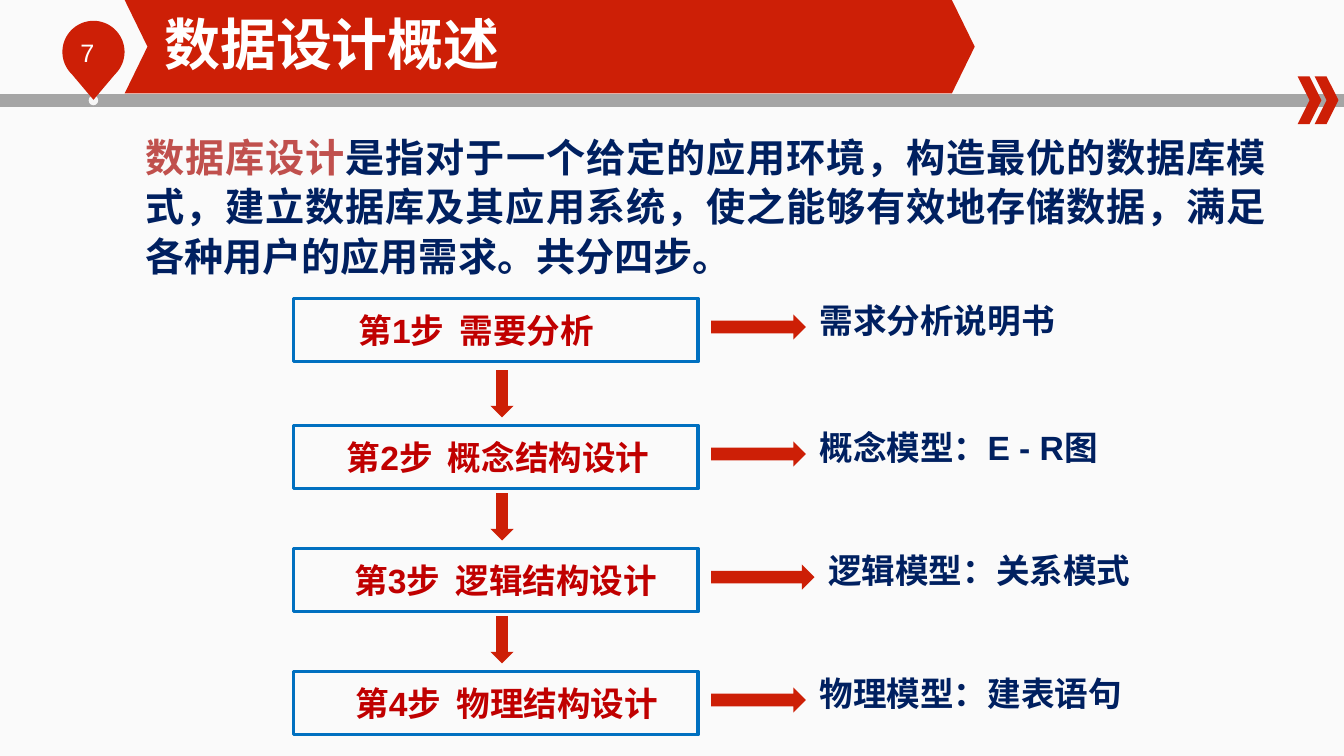
from math import cos, radians, sin

from lxml.etree import SubElement
from pptx import Presentation
from pptx.dml.color import RGBColor
from pptx.enum.shapes import MSO_SHAPE
from pptx.enum.text import MSO_ANCHOR, PP_ALIGN
from pptx.oxml.ns import qn
from pptx.util import Pt

RED = RGBColor(0xCD, 0x1F, 0x06)
DARK_RED = RGBColor(0xC0, 0x00, 0x00)
SOFT_RED = RGBColor(0xC0, 0x50, 0x4D)
NAVY = RGBColor(0x00, 0x20, 0x60)
BLUE = RGBColor(0x00, 0x70, 0xC0)
GRAY = RGBColor(0xA5, 0xA5, 0xA5)
DOT_GRAY = RGBColor(0xF6, 0xF6, 0xF6)
WHITE = RGBColor(0xFF, 0xFF, 0xFF)
BACKGROUND = (RGBColor(0xFA, 0xFA, 0xFA), RGBColor(0xFC, 0xFC, 0xFC))
LATIN_FONT = "Arial"
CHINESE_FONT = "Noto Sans CJK SC"

SLIDE_WIDTH, SLIDE_HEIGHT = 960.48, 540
BOX_HEIGHT = 45.4

# top, label, label left, label width, label alignment, arrow width, result
STEPS = [
    (213.1, "第1步  需要分析", 39.6, 209.5, PP_ALIGN.LEFT, 67.7, "需求分析说明书"),
    (303.8, "第2步  概念结构设计", 15.8, 261.4, PP_ALIGN.CENTER, 67.7, "概念模型：E - R图"),
    (391.7, "第3步  逻辑结构设计", 15.1, 273.6, PP_ALIGN.CENTER, 73.8, "逻辑模型：关系模式"),
    (479.5, "第4步  物理结构设计", 15.8, 273.6, PP_ALIGN.CENTER, 67.7, "物理模型：建表语句"),
]


def paint(shape, color):
    shape.shadow.inherit = False
    shape.fill.solid()
    shape.fill.fore_color.rgb = color
    shape.line.fill.background()


def add_preset(slide, kind, left, top, width, height, color):
    shape = slide.shapes.add_shape(kind, Pt(left), Pt(top), Pt(width), Pt(height))
    paint(shape, color)
    return shape


def add_polygon(slide, points, color):
    corners = [(Pt(x), Pt(y)) for x, y in points]
    builder = slide.shapes.build_freeform(*corners[0])
    builder.add_line_segments(corners[1:], close=True)
    paint(builder.convert_to_shape(), color)


def add_chevron(slide, left, top, width, height, depth):
    right, middle, bottom = left + width, top + height / 2, top + height
    add_polygon(slide, [(left, top), (right - depth, top), (right, middle),
                        (right - depth, bottom), (left, bottom),
                        (left + depth, middle)], RED)


def add_text(slide, left, top, width, height, parts, size, bold=True,
             font=LATIN_FONT, align=PP_ALIGN.LEFT, margins=(7.2, 3.6)):
    """Add a one-paragraph text box; parts are (text, color) pairs."""
    box = slide.shapes.add_textbox(Pt(left), Pt(top), Pt(width), Pt(height))
    frame = box.text_frame
    frame.word_wrap = True
    frame.margin_left = frame.margin_right = Pt(margins[0])
    frame.margin_top = frame.margin_bottom = Pt(margins[1])
    paragraph = frame.paragraphs[0]
    paragraph.alignment = align
    paragraph.font.size = Pt(size)
    paragraph.font.bold = bold
    paragraph.font.name = font
    properties = paragraph._p.pPr.find(qn("a:defRPr"))
    SubElement(properties, qn("a:ea"), typeface=CHINESE_FONT)
    for text, color in parts:
        run = paragraph.add_run()
        run.text = text
        run.font.color.rgb = color
    return frame


def add_page_pin(slide, left, top, number):
    radius = 22.2
    center_x, center_y = left + radius, top + radius
    arc = [(center_x + radius * cos(radians(angle)),
            center_y + radius * sin(radians(angle)))
           for angle in range(134, 407, 4)]
    add_preset(slide, MSO_SHAPE.OVAL, center_x - 3.4, top + 53.3, 6.8, 7, DOT_GRAY)
    add_polygon(slide, [(center_x, top + 56.4)] + arc, RED)
    add_text(slide, left + 5.8, top + 8, 54.7, 29, [(number, WHITE)], 18, bold=False)


def add_header(slide, width):
    add_preset(slide, MSO_SHAPE.RECTANGLE, 0, 67.2, width, 9.2, GRAY)
    add_page_pin(slide, 44.6, 14.9, "7")
    for offset in (33.1, 20.9):
        add_chevron(slide, width - offset, 54.6, 17, 34, 8.5)
    add_chevron(slide, 89.1, 0, 607.5, 66.7, 16.3)
    title = add_text(slide, 117.4, 6.5, 476, 48.2, [("数据设计概述", WHITE)], 40,
                     font=CHINESE_FONT, margins=(0, 0))
    title.vertical_anchor = MSO_ANCHOR.MIDDLE


def add_definition(slide, left, top, width, height):
    parts = [
        ("数据库设计", SOFT_RED),
        ("是指对于一个给定的应用环境，构造最优的数据库模式，建立数据库及其应用系统，"
         "使之能够有效地存储数据，满足各种用户的应用需求。共分四步。", NAVY),
    ]
    frame = add_text(slide, left, top, width, height, parts, 28,
                     font=CHINESE_FONT, align=PP_ALIGN.JUSTIFY)
    frame.margin_left = Pt(43.2)
    frame.paragraphs[0].line_spacing = 1.05


def add_step(slide, left, width, step):
    top, label, label_left, label_width, align, arrow_width, result = step
    box = add_preset(slide, MSO_SHAPE.RECTANGLE, left, top, width, BOX_HEIGHT, WHITE)
    box.fill.background()
    box.line.color.rgb = BLUE
    box.line.width = Pt(2.25)
    add_text(slide, left + label_left, top + 4.6, label_width, 36,
             [(label, DARK_RED)], 24, align=align)
    arrow_left = left + width + 9.4
    add_preset(slide, MSO_SHAPE.RIGHT_ARROW, arrow_left, top + 11.5,
               arrow_width, 18, RED)
    add_text(slide, arrow_left + arrow_width + 2.7, top - 2.2, 246, 36,
             [(result, NAVY)], 24)


def add_flow(slide, left, width):
    for index, step in enumerate(STEPS):
        if index:
            add_preset(slide, MSO_SHAPE.DOWN_ARROW, left + width / 2 - 3.7,
                       step[0] - 39.4, 16.6, 33.8, RED)
        add_step(slide, left, width, step)


def main():
    presentation = Presentation()
    presentation.slide_width = Pt(SLIDE_WIDTH)
    presentation.slide_height = Pt(SLIDE_HEIGHT)
    slide = presentation.slides.add_slide(presentation.slide_layouts[6])
    fill = slide.background.fill
    fill.gradient()
    fill.gradient_angle = 270
    for stop, color in zip(fill.gradient_stops, BACKGROUND):
        stop.color.rgb = color
    add_header(slide, SLIDE_WIDTH)
    add_definition(slide, 60.5, 90, 851.8, 113)
    add_flow(slide, 209.5, 289.4)
    presentation.save("out.pptx")


if __name__ == "__main__":
    main()
